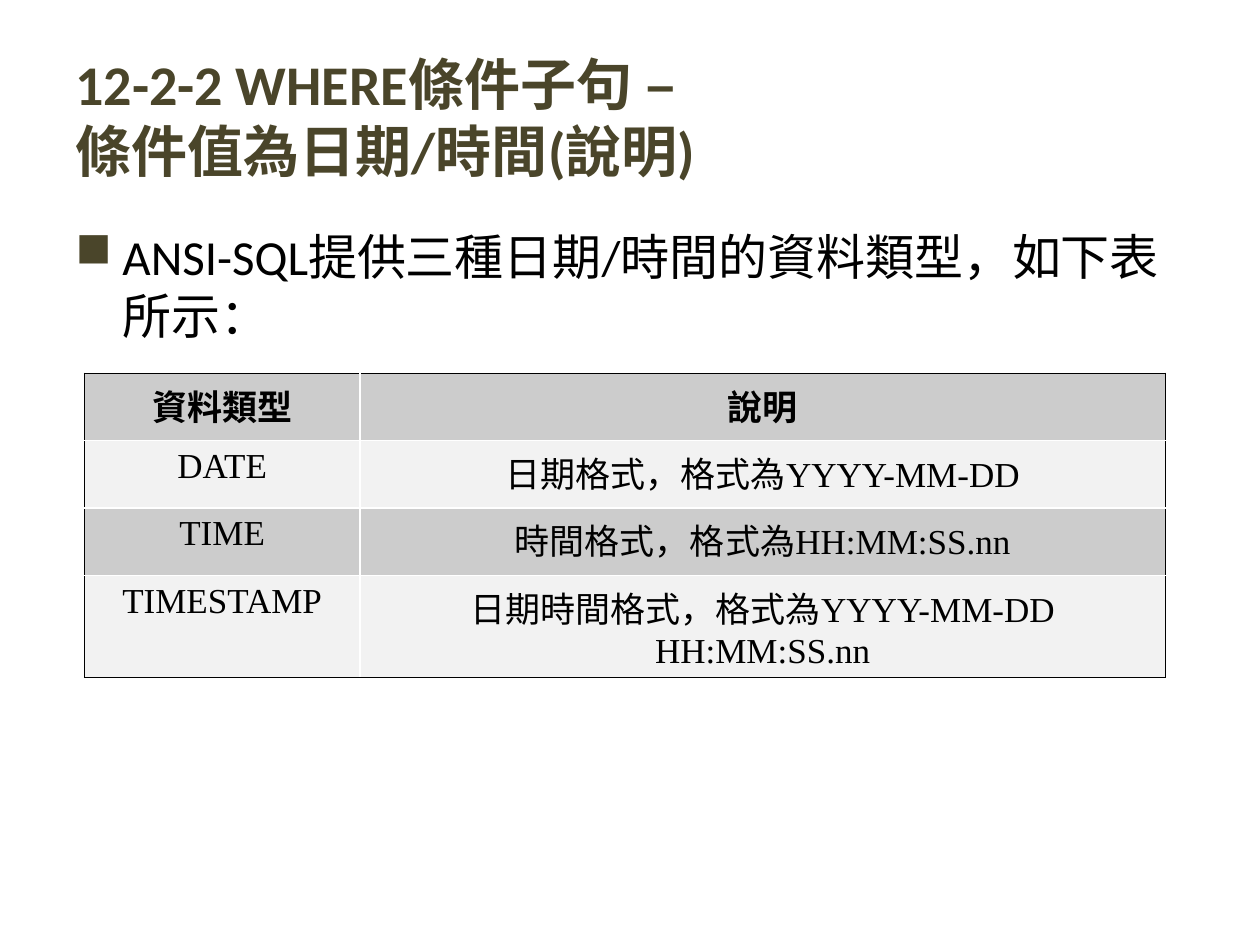
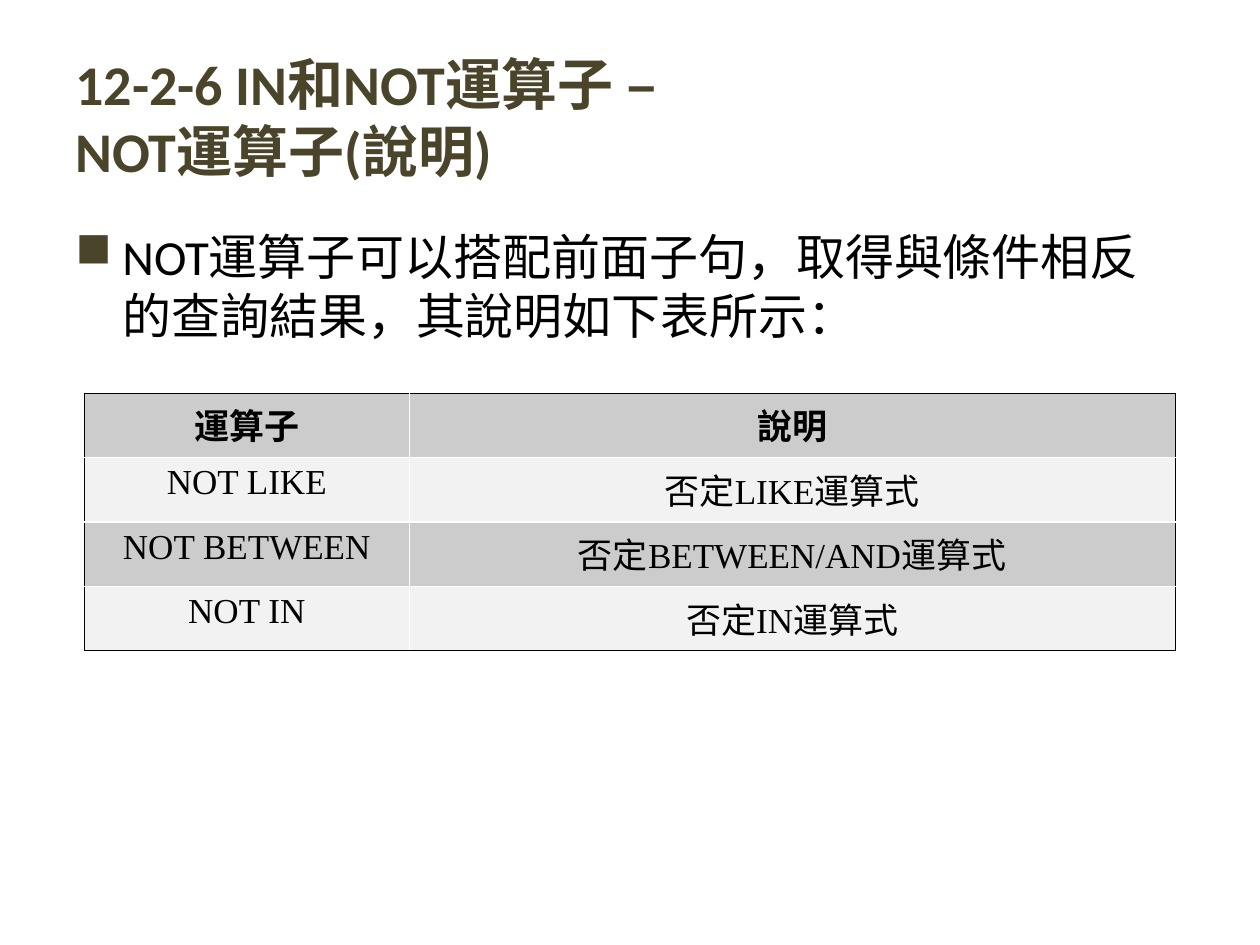
from lxml import etree
from pptx import Presentation
from pptx.dml.color import RGBColor
from pptx.enum.text import MSO_ANCHOR, PP_ALIGN
from pptx.oxml.ns import qn
from pptx.util import Cm, Pt

MIDDLE, TOP = MSO_ANCHOR.MIDDLE, MSO_ANCHOR.TOP
CENTER = PP_ALIGN.CENTER

COLORS = {
    "title": "4A452A",
    "text": "000000",
    "dark": "CCCCCC",
    "light": "F2F2F2",
    "frame": "000000",
    "grid": "FFFFFF",
}
SANS, SERIF = "Calibri", "Times New Roman"
LEFT, WIDTH = Cm(1.27), Cm(22.86)
FRAME, GRID = Pt(0.45), Pt(0.96)

SLIDES = [
    {
        "title": ["12-2-2 WHERE條件子句 –", "條件值為日期/時間(說明)"],
        "point": "ANSI-SQL提供三種日期/時間的資料類型，如下表所示：",
        "top": 7.52,
        "cols": [5.56, 16.23],
        "heights": [1.36, 1.36, 1.36, 2.06],
        "rows": [
            ["資料類型", "說明"],
            ["DATE", "日期格式，格式為YYYY-MM-DD"],
            ["TIME", "時間格式，格式為HH:MM:SS.nn"],
            ["TIMESTAMP", "日期時間格式，格式為YYYY-MM-DD HH:MM:SS.nn"],
        ],
    },
    {
        "title": ["12-2-6 IN和NOT運算子 –", "NOT運算子(說明)"],
        "point": "NOT運算子可以搭配前面子句，取得與條件相反的查詢結果，其說明如下表所示：",
        "top": 7.92,
        "cols": [6.55, 15.44],
        "heights": [1.3] * 4,
        "rows": [
            ["運算子", "說明"],
            ["NOT LIKE", "否定LIKE運算式"],
            ["NOT BETWEEN", "否定BETWEEN/AND運算式"],
            ["NOT IN", "否定IN運算式"],
        ],
    },
]


class Deck:
    def __init__(self):
        self.prs = Presentation()
        self.prs.slide_width, self.prs.slide_height = Cm(25.4), Cm(19.05)
        self.slide = None

    def start(self):
        self.slide = self.prs.slides.add_slide(self.prs.slide_layouts[6])

    def run(self, para, text, size, font, color="text", bold=False):
        run = para.add_run()
        run.text = text
        run.font.name, run.font.size, run.font.bold = font, Pt(size), bold
        run.font.color.rgb = RGBColor.from_string(COLORS[color])

    def box(self, top, height, anchor):
        """Add a full-width text box and return its first paragraph."""
        frame = self.slide.shapes.add_textbox(LEFT, top, WIDTH, height).text_frame
        frame.word_wrap = True
        frame.vertical_anchor = anchor
        return frame.paragraphs[0]

    def title(self, lines):
        para = self.box(Cm(0.76), Cm(3.18), MIDDLE)
        for num, line in enumerate(lines):
            if num:
                para.add_line_break()
            self.run(para, line, 32, SANS, "title", True)

    def point(self, text):
        para = self.box(Cm(4.45), Cm(12.57), TOP)
        props = para._p.get_or_add_pPr()
        props.set("marL", str(Cm(0.95)))
        props.set("indent", str(-Cm(0.95)))
        tint = etree.SubElement(props, qn("a:buClr"))
        etree.SubElement(tint, qn("a:srgbClr"), val=COLORS["title"])
        etree.SubElement(props, qn("a:buChar"), char="■")
        self.run(para, text, 28, SANS)

    def edge(self, cell, side, outer):
        """Draw one cell border, as outer frame or inner grid."""
        color, width = ("frame", FRAME) if outer else ("grid", GRID)
        line = etree.SubElement(cell._tc.get_or_add_tcPr(), qn(f"a:ln{side}"), w=str(width))
        fill = etree.SubElement(line, qn("a:solidFill"))
        etree.SubElement(fill, qn("a:srgbClr"), val=COLORS[color])

    def table(self, top, cols, heights, rows):
        shape = self.slide.shapes.add_table(
            len(rows), len(cols), Cm(1.7), Cm(top), Cm(sum(cols)), Cm(sum(heights)))
        table = shape.table
        table.first_row = table.horz_banding = False
        for col, width in zip(table.columns, cols):
            col.width = Cm(width)
        for y, (row, height) in enumerate(zip(rows, heights)):
            table.rows[y].height = Cm(height)
            for x, text in enumerate(row):
                cell = table.cell(y, x)
                outer = {"L": x == 0, "R": x == len(cols) - 1,
                         "T": y == 0, "B": y == len(rows) - 1}
                for side, flag in outer.items():
                    self.edge(cell, side, flag)
                cell.fill.solid()
                shade = COLORS["light" if y % 2 else "dark"]
                cell.fill.fore_color.rgb = RGBColor.from_string(shade)
                para = cell.text_frame.paragraphs[0]
                para.alignment = CENTER
                self.run(para, text, 20, SERIF, bold=y == 0)


def main():
    deck = Deck()
    for page in SLIDES:
        deck.start()
        deck.title(page["title"])
        deck.point(page["point"])
        deck.table(page["top"], page["cols"], page["heights"], page["rows"])
    deck.prs.save("out.pptx")


if __name__ == "__main__":
    main()
